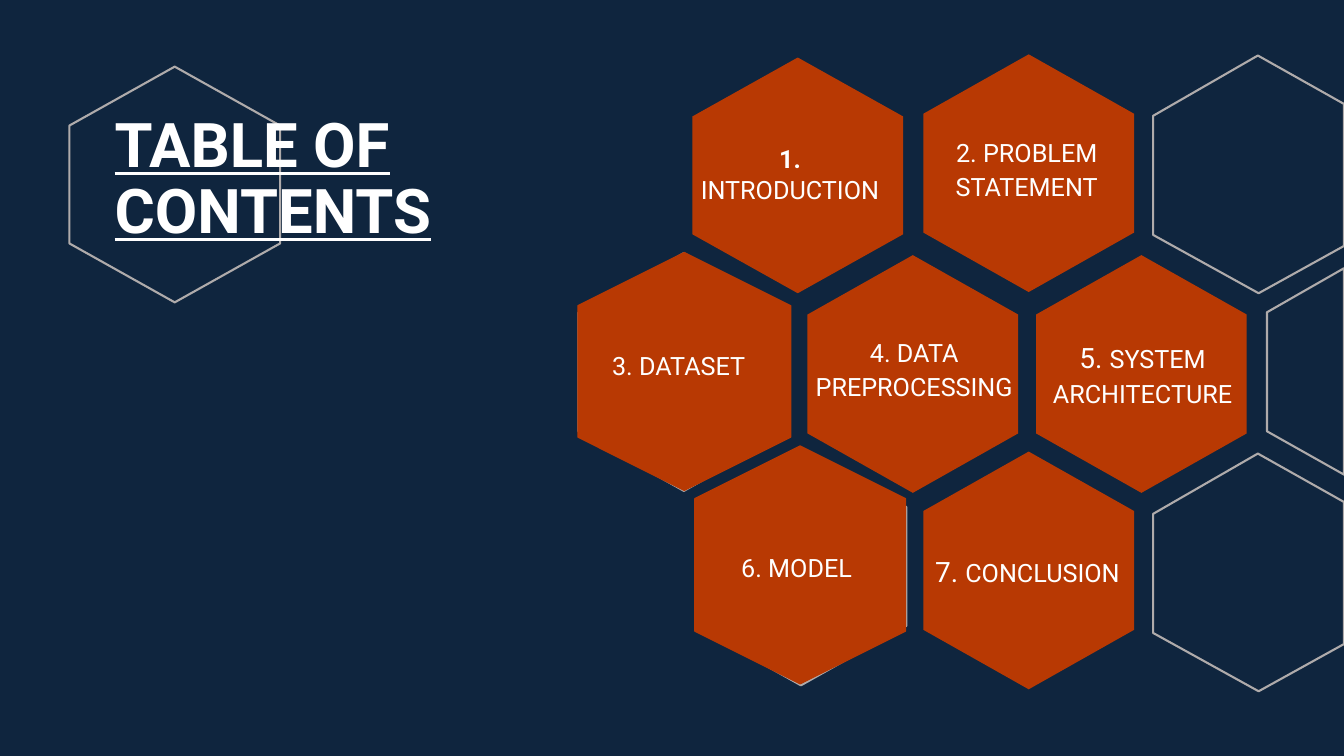
from pptx import Presentation
from pptx.dml.color import RGBColor
from pptx.enum.shapes import MSO_SHAPE
from pptx.enum.text import MSO_ANCHOR, PP_ALIGN
from pptx.util import Cm, Pt

HEXAGON = MSO_SHAPE.HEXAGON
MIDDLE = MSO_ANCHOR.MIDDLE
LEFT, CENTER = PP_ALIGN.LEFT, PP_ALIGN.CENTER
COLORS = {"navy": "0F253E", "rust": "B83903", "gray": "AFABAB", "white": "FFFFFF"}
C = {name: RGBColor.from_string(value) for name, value in COLORS.items()}
HEX_W = 5.31

prs = Presentation()
prs.slide_width, prs.slide_height = Cm(33.87), Cm(19.05)
s = prs.slides.add_slide(prs.slide_layouts[6])
s.background.fill.solid()
s.background.fill.fore_color.rgb = C["navy"]


def add_outline(points, filled=False):
    """Closed polygon, either solid rust or a gray outline."""
    pts = [(Cm(x), Cm(y)) for x, y in points]
    builder = s.shapes.build_freeform(*pts[0], scale=1.0)
    builder.add_line_segments(pts[1:], close=True)
    sp = builder.convert_to_shape()
    sp.shadow.inherit = False
    if filled:
        sp.fill.solid()
        sp.fill.fore_color.rgb = C["rust"]
        sp.line.fill.background()
    else:
        sp.fill.background()
        sp.line.color.rgb = C["gray"]
        sp.line.width = Pt(1.5)


def add_text(x, y, w, h, runs, align=CENTER, spacing=1.0, before=0):
    """Text box with one paragraph; runs are (text, size, bold)."""
    tf = s.shapes.add_textbox(Cm(x), Cm(y), Cm(w), Cm(h)).text_frame
    tf.word_wrap = True
    tf.vertical_anchor = MIDDLE
    p = tf.paragraphs[0]
    p.alignment, p.line_spacing, p.space_before = align, spacing, Pt(before)
    p.font.name = "Roboto"
    p.font.color.rgb = C["white"]
    for text, size, bold in runs:
        r = p.add_run()
        r.text = text
        r.font.name = "Roboto"
        r.font.color.rgb = C["white"]
        r.font.size, r.font.bold = Pt(size), bold
    return p


# Whole hexagons: left, top, height, filled
hexagons = [
    (17.45, 1.45, 5.94, True),
    (23.27, 1.37, 5.99, True),
    (20.35, 6.43, 5.99, True),
    (23.27, 11.38, 5.99, True),
    (26.11, 6.43, 5.99, True),
    (1.75, 1.68, 5.94, False),
    (14.58, 6.38, 5.99, False),
    (17.53, 11.28, 5.99, False),
]
for x, y, h, filled in hexagons:
    mid, right = x + HEX_W / 2, x + HEX_W
    add_outline([(mid, y), (right, y + h / 4), (right, y + h * 3 / 4),
                 (mid, y + h), (x, y + h * 3 / 4), (x, y + h / 4)], filled)

# Hexagons cut off by the right edge
for y in (1.4, 11.43):
    add_outline([(31.7, y), (33.87, y + 1.22), (33.87, y + 4.8),
                 (31.72, y + 5.99), (29.06, y + 4.52), (29.06, y + 1.52)])
add_outline([(33.87, 6.76), (33.87, 11.96), (31.93, 10.87), (31.93, 7.87)])

# Upright tiles behind the dataset and model entries
for x, y, h in ((14.25, 6.68, 5.36), (17.17, 11.58, 5.31)):
    sp = s.shapes.add_shape(HEXAGON, Cm(x), Cm(y), Cm(5.99), Cm(h))
    sp.rotation = 90
    sp.shadow.inherit = False
    sp.fill.solid()
    sp.fill.fore_color.rgb = C["rust"]
    sp.line.color.rgb = C["rust"]
    sp.line.width = Pt(1)

# Title
p = add_text(2.64, 2.13, 14.38, 4.83, [("TABLE OF CONTENTS", 44, True)], LEFT, 0.9)
p.runs[0].font.underline = True

# Contents entries
add_text(17.09, 2.16, 5.64, 4.45, [("1. ", 18, True), ("INTRODUCTION", 18, False)])
entries = [
    (23.22, 2.77, 5.31, 2.92, [("2. PROBLEM STATEMENT", 18, False)]),
    (14.45, 7.65, 5.31, 3.02, [("3. DATASET", 18, False)]),
    (20.22, 7.75, 5.64, 3.02, [("4. DATA PREPROCESSING", 18, False)]),
    (26.14, 7.85, 5.31, 3.07, [("5. ", 20, False), ("SYSTEM ARCHITECTURE", 18, False)]),
    (17.5, 13.11, 5.31, 2.26, [("6. MODEL ", 18, False)]),
    (23.24, 12.85, 5.31, 3.0, [("7. ", 20, False), ("CONCLUSION", 18, False), (" ", 20, False)]),
]
for x, y, w, h, runs in entries:
    add_text(x, y, w, h, runs, spacing=1.13, before=10)

prs.save("out.pptx")
